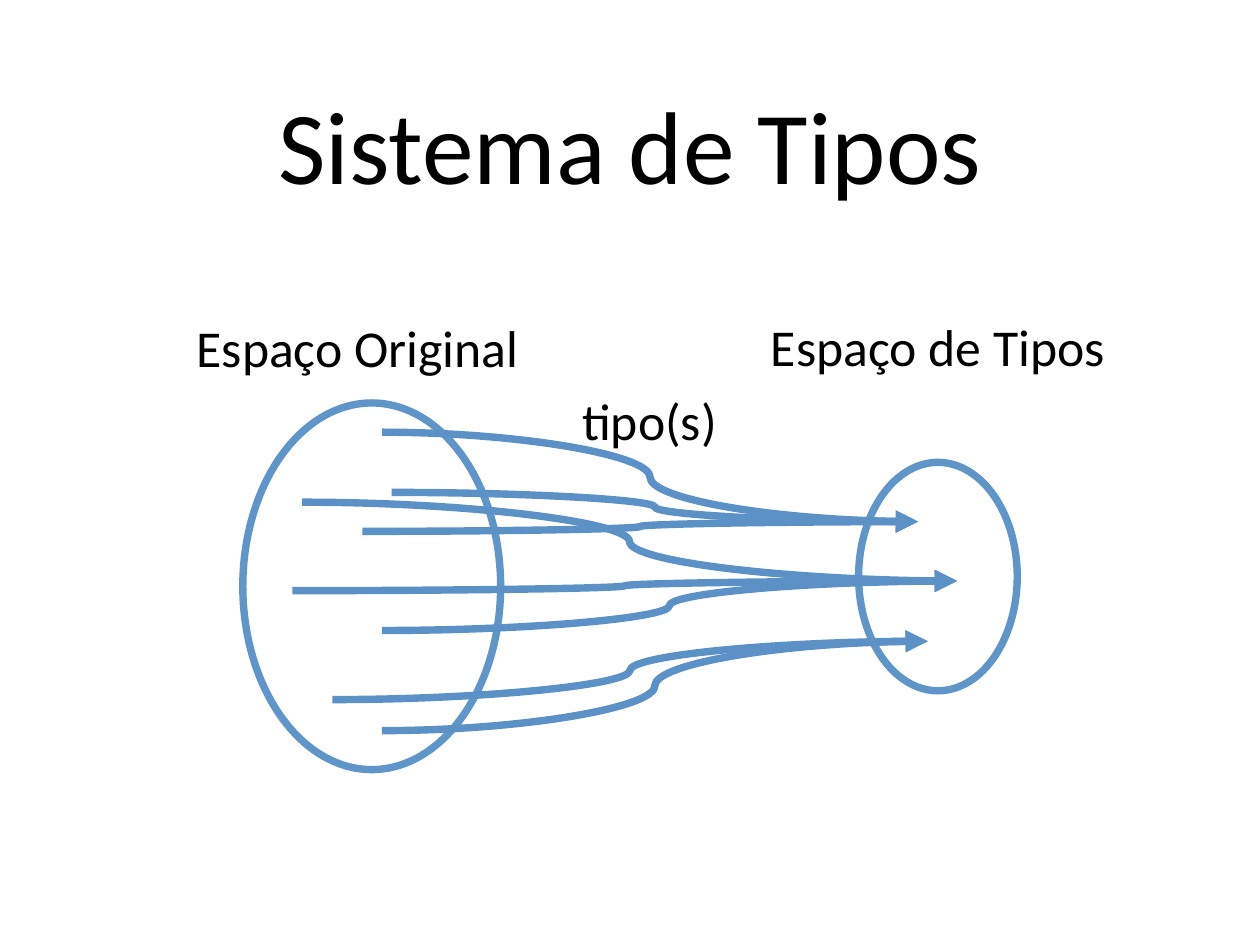
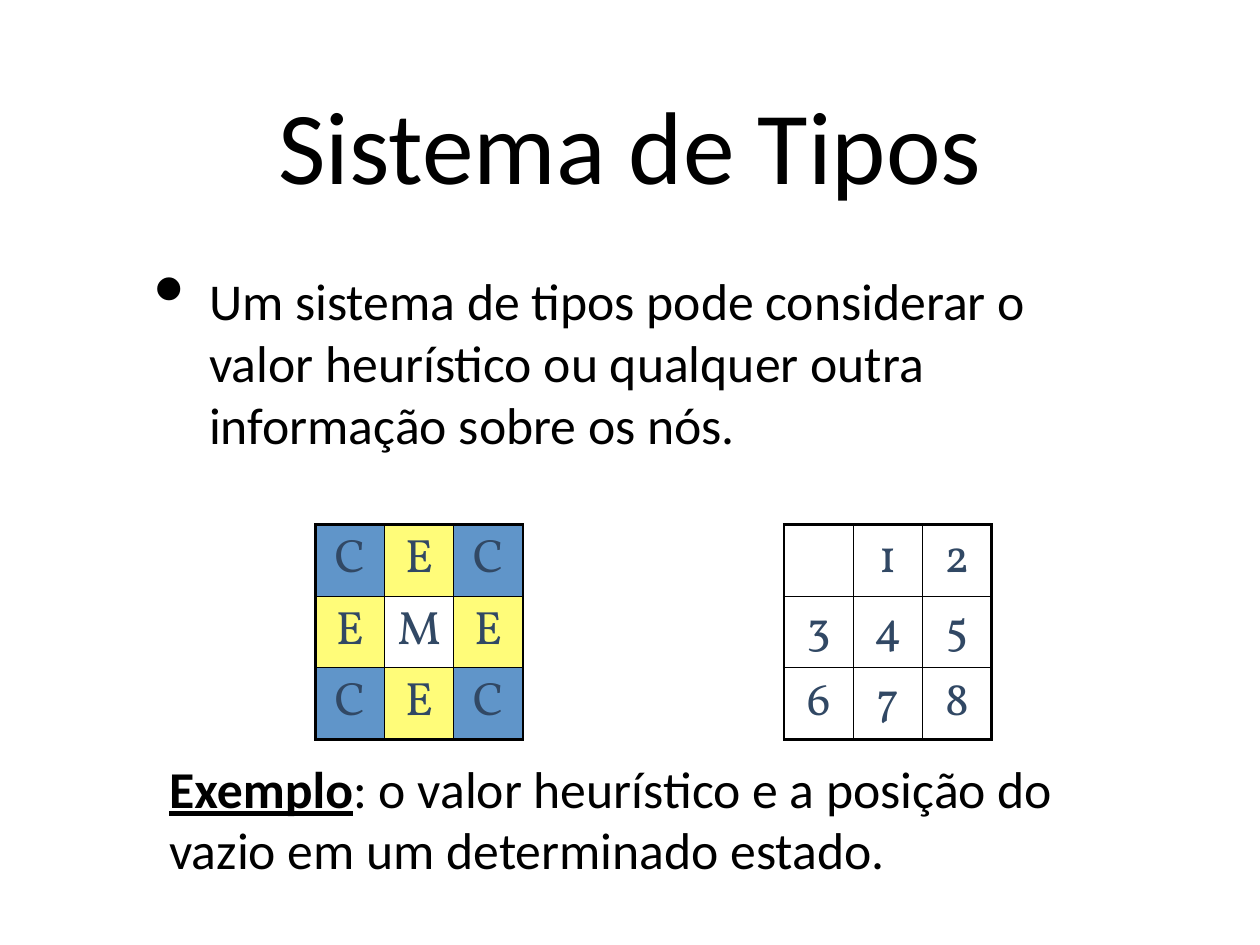
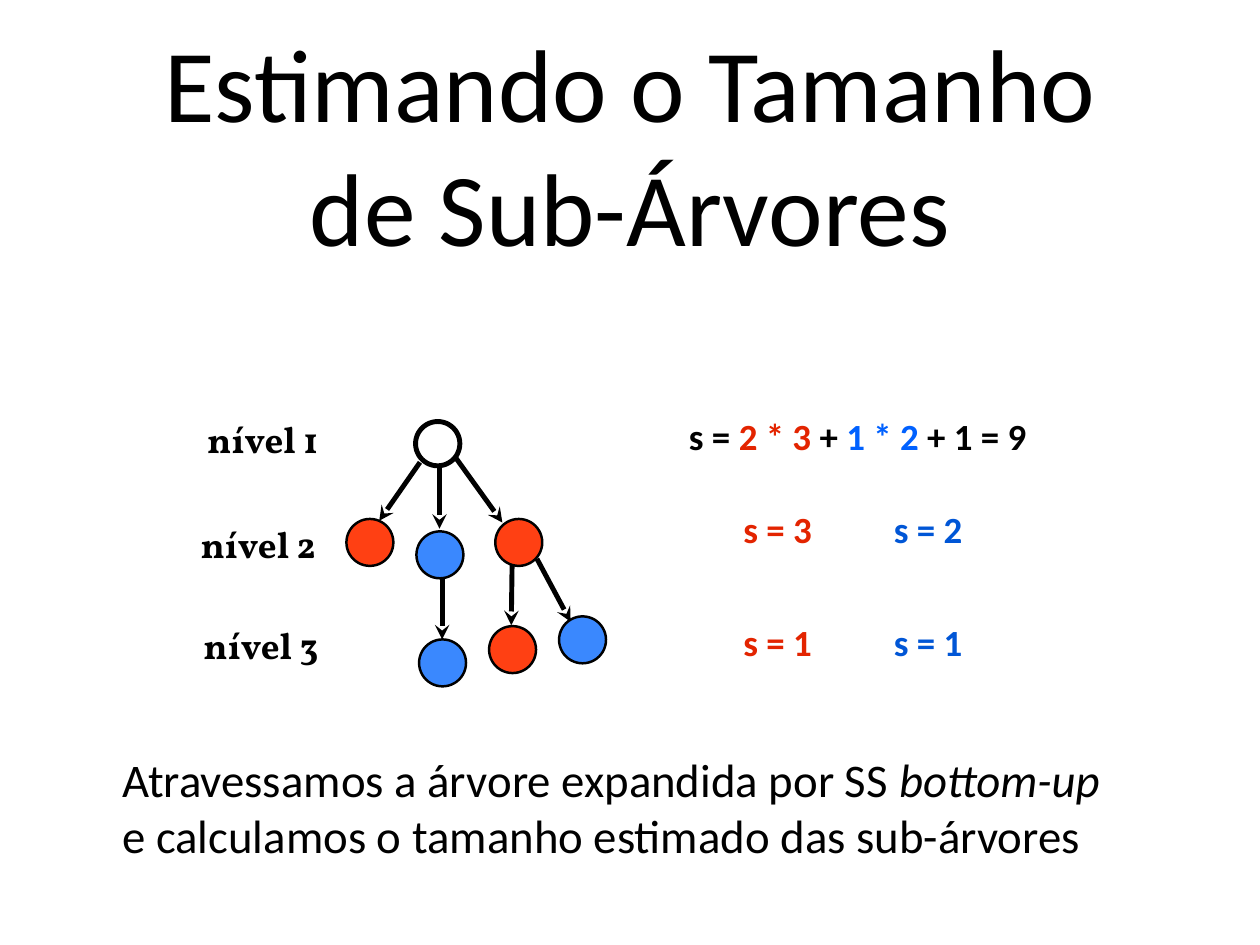
from pptx import Presentation
from pptx.dml.color import RGBColor
from pptx.enum.shapes import MSO_CONNECTOR as Link, MSO_SHAPE as Preset
from pptx.enum.text import MSO_ANCHOR as Anchor, PP_ALIGN as Align
from pptx.oxml.ns import qn
from pptx.util import Emu, Pt
from lxml.etree import SubElement

EMU_PER_PX = 9144
BLACK, WHITE, BLUE, ARROW_BLUE = "000000", "FFFFFF", "6095C9", "5B91C7"
YELLOW, NAVY = "FFFC79", "314864"
NODE_RED, NODE_BLUE = "FF4013", "3A88FE"
TEXT_RED, TEXT_BLUE, SUM_BLUE = "E32400", "0056D6", "0061FF"
BODY_FONT, SERIF_FONT = "Calibri", "Vollkorn"


def px(*lengths):
    return [Emu(round(length * EMU_PER_PX)) for length in lengths]


def rgb(value):
    return RGBColor.from_string(value)


class Deck:
    def __init__(self, width, height):
        self.deck = Presentation()
        self.deck.slide_width, self.deck.slide_height = px(width, height)
        self.page = None

    def new_page(self, title):
        self.page = self.deck.slides.add_slide(self.deck.slide_layouts[6])
        self.text((139, 28, 1144, 267), [[title]], 84)

    def style(self, font, size=None, color=None, name=None, **flags):
        if size:
            font.size = Pt(size)
        if name:
            font.name = name
        if color:
            font.color.rgb = rgb(color)
        for flag, value in flags.items():
            setattr(font, flag, value)

    def text(self, area, lines, size, color=BLACK, name=BODY_FONT, align=Align.CENTER,
             anchor=Anchor.MIDDLE, inset=6, bullet=False, **flags):
        box = self.page.shapes.add_textbox(*px(*area))
        frame = box.text_frame
        frame.word_wrap = True
        frame.vertical_anchor = anchor
        margin, = px(inset)
        frame.margin_left = frame.margin_right = margin
        frame.margin_top = frame.margin_bottom = margin
        for index, line in enumerate(lines):
            para = frame.add_paragraph() if index else frame.paragraphs[0]
            para.alignment = align
            if bullet:
                self.bullet(para)
            self.style(para.font, size, color, name, **flags)
            for part in line:
                words, changes = (part, {}) if isinstance(part, str) else part
                span = para.add_run()
                span.text = words
                self.style(span.font, **changes)

    def bullet(self, para):
        props = para._p.get_or_add_pPr()
        margin, indent = px(97, -62)
        props.set("marL", str(margin))
        props.set("indent", str(indent))
        SubElement(props, qn("a:buSzPct")).set("val", "171000")
        SubElement(props, qn("a:buChar")).set("char", "•")

    def oval(self, area, line_color, line_width, fill=None):
        shape = self.page.shapes.add_shape(Preset.OVAL, *px(*area))
        shape.shadow.inherit = False
        if fill:
            shape.fill.solid()
            shape.fill.fore_color.rgb = rgb(fill)
        else:
            shape.fill.background()
        shape.line.color.rgb = rgb(line_color)
        shape.line.width = Pt(line_width)

    def arrow(self, start, end, kind, color, width, head):
        connector = self.page.shapes.add_connector(kind, *px(*start, *end))
        connector.line.color.rgb = rgb(color)
        connector.line.width = Pt(width)
        props = connector._element.find(qn("p:spPr"))
        SubElement(props.find(qn("a:ln")), qn("a:tailEnd")).set("type", head)
        SubElement(props, qn("a:effectLst"))

    def border(self, cell, side, width):
        line = SubElement(cell._tc.get_or_add_tcPr(), qn(f"a:ln{side}"), w=str(Pt(width)))
        fill = SubElement(line, qn("a:solidFill"))
        SubElement(fill, qn("a:srgbClr")).set("val", BLACK)

    def board(self, left, top, rows, fills):
        count, col_width, row_height = len(rows), 78, 81
        table = self.page.shapes.add_table(
            count, count, *px(left, top, col_width * count, row_height * count)).table
        table.first_row = table.horz_banding = False
        last = count - 1
        for r, row in enumerate(rows):
            for c, symbol in enumerate(row):
                cell = table.cell(r, c)
                cell.vertical_anchor = Anchor.MIDDLE
                margin, = px(4)
                cell.margin_left = cell.margin_right = margin
                cell.margin_top = cell.margin_bottom = margin
                outer = {"L": c == 0, "R": c == last, "T": r == 0, "B": r == last}
                for side, is_outer in outer.items():
                    self.border(cell, side, 2.25 if is_outer else 1)
                if symbol in fills:
                    cell.fill.solid()
                    cell.fill.fore_color.rgb = rgb(fills[symbol])
                else:
                    cell.fill.background()
                para = cell.text_frame.paragraphs[0]
                para.alignment = Align.CENTER
                self.style(para.font, 38, NAVY, SERIF_FONT)
                if symbol.strip():
                    para.add_run().text = symbol


def type_mapping(deck):
    deck.new_page("Sistema de Tipos")
    for area in ((274, 455, 291, 414), (969, 522, 179, 258)):
        deck.oval(area, BLUE, 6, WHITE)
    sources_by_type = {
        (1036, 589): [(431, 488), (409, 600), (442, 556)],
        (1080, 656): [(431, 712), (330, 667), (341, 567)],
        (1047, 724): [(375, 790), (431, 825)],
    }
    for target, sources in sources_by_type.items():
        for source in sources:
            deck.arrow(source, target, Link.CURVE, ARROW_BLUE, 6, "triangle")
    deck.text((213, 352, 381, 79), [["Espaço Original"]], 42)
    deck.text((863, 351, 391, 79), [["Espaço de Tipos"]], 42)
    deck.text((650, 434, 166, 79), [["tipo(s)"]], 42)


def type_example(deck):
    deck.new_page("Sistema de Tipos")
    deck.text((139, 303, 1144, 245),
              [["Um sistema de tipos pode considerar o valor heurístico ou qualquer outra "
                "informação sobre os nós."]],
              42, align=Align.LEFT, anchor=Anchor.TOP, inset=0, bullet=True)
    deck.board(356, 592, ("CEC", "EME", "CEC"), {"C": BLUE, "E": YELLOW})
    deck.board(885, 592, (" 12", "345", "678"), {})
    deck.text((185, 849, 1052, 150),
              [[("Exemplo", {"bold": True, "underline": True}),
                ": o valor heurístico e a posição do"],
               ["vazio em um determinado estado."]],
              42, align=Align.LEFT)


def subtree_sizes(deck):
    deck.new_page("Estimando o Tamanho de Sub-Árvores")
    branches = (
        ((474, 522), (428, 588)), ((496, 524), (496, 597)), ((513, 515), (567, 590)),
        ((499, 649), (499, 722)), ((578, 634), (577, 706)), ((606, 631), (644, 702)),
    )
    for parent, child in branches:
        deck.arrow(parent, child, Link.STRAIGHT, BLACK, 4, "stealth")
    deck.oval((469, 476, 50, 50), BLACK, 4)
    nodes = (
        (391, 586, NODE_RED), (470, 600, NODE_BLUE), (559, 586, NODE_RED),
        (473, 722, NODE_BLUE), (552, 707, NODE_RED), (631, 696, NODE_BLUE),
    )
    for left, top, fill in nodes:
        deck.oval((left, top, 53, 53), BLACK, 2, fill)
    for level, (left, top) in enumerate(((226, 462), (221, 580), (224, 695)), 1):
        deck.text((left, top, 141, 67), [[f"nível {level}"]], 30, name=SERIF_FONT,
                  inset=0, bold=True)
    deck.text((751, 458, 434, 67),
              [["s = ", ("2 * 3", {"color": TEXT_RED}), " + ",
                ("1 * 2", {"color": SUM_BLUE}), " + 1 = 9"]],
              30, inset=0, bold=True)
    for top, sizes in ((566, (3, 2)), (694, (1, 1))):
        for left, color, size in zip((828, 998), (TEXT_RED, TEXT_BLUE), sizes):
            deck.text((left, top, 99, 61), [[f"s = {size}"]], 30, color, inset=0, bold=True)
    deck.text((132, 845, 1133, 133),
              [["Atravessamos a árvore expandida por SS ", ("bottom-up", {"italic": True})],
               ["e calculamos o tamanho estimado das sub-árvores"]],
              38, align=Align.LEFT)


def main():
    deck = Deck(1422, 1067)
    for build in (type_mapping, type_example, subtree_sizes):
        build(deck)
    deck.deck.save("out.pptx")


if __name__ == "__main__":
    main()
